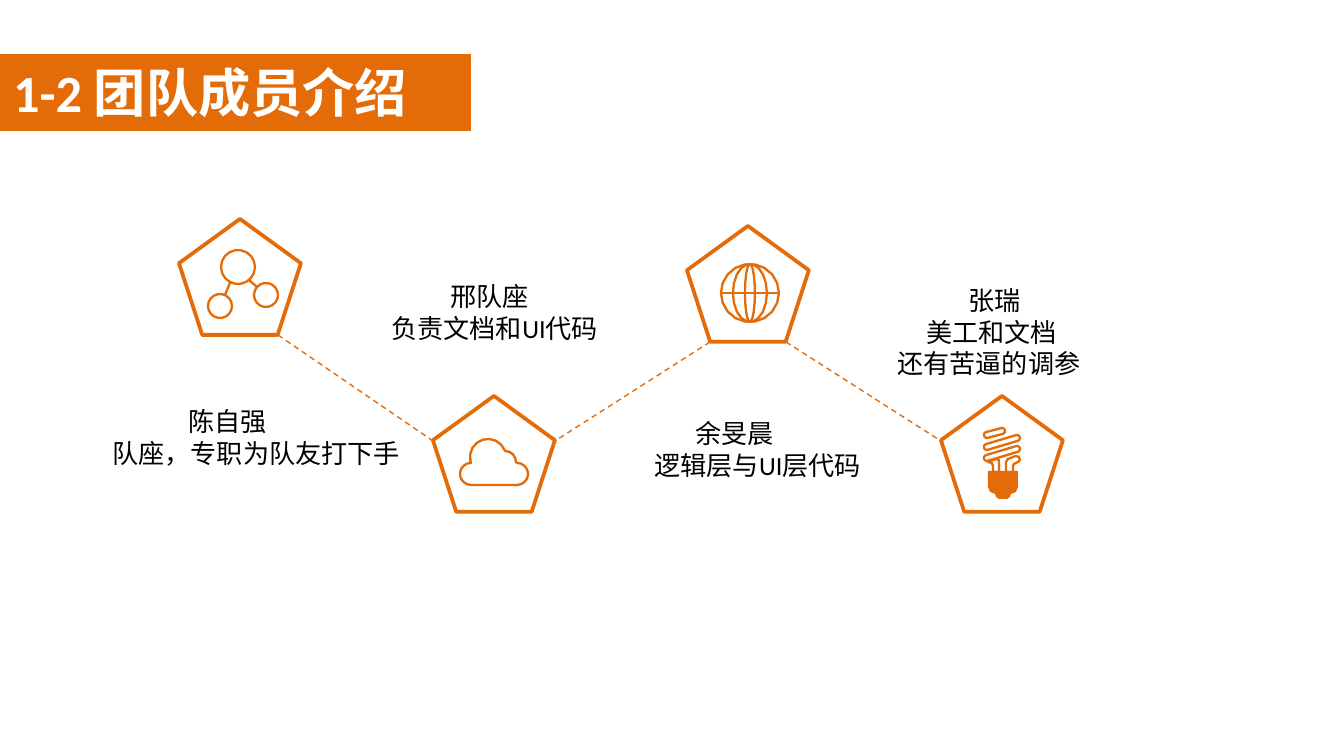
from dataclasses import dataclass, field
from math import atan2, cos, degrees, radians, sin

from lxml import etree
from pptx import Presentation
from pptx.dml.color import RGBColor
from pptx.enum.dml import MSO_LINE
from pptx.enum.shapes import MSO_CONNECTOR, MSO_SHAPE
from pptx.enum.text import MSO_AUTO_SIZE
from pptx.oxml.ns import qn
from pptx.util import Emu, Pt

PENTAGON, RECT = MSO_SHAPE.REGULAR_PENTAGON, MSO_SHAPE.RECTANGLE
STRAIGHT, DASH = MSO_CONNECTOR.STRAIGHT, MSO_LINE.DASH
FIT_TEXT = MSO_AUTO_SIZE.SHAPE_TO_FIT_TEXT

ORANGE = RGBColor(0xE3, 0x6C, 0x09)
WHITE = RGBColor(0xFF, 0xFF, 0xFF)
BLACK = RGBColor(0x00, 0x00, 0x00)
FONT = "Calibri"

PX_PER_INCH = 134.4
PENTAGON_W, PENTAGON_H = 122, 116
FIRST_LEFT, STEP = 179, 254
SHOULDER, BASE_INSET = 45, 23  # pentagon corners, from its top and sides

Contour = list[tuple[float, float]]


@dataclass
class Line:
    text: str
    indent: int = 0


@dataclass
class Member:
    pentagon_top: int
    outline: list[Contour]
    box: tuple[int, int, int, int]
    lines: list[Line]
    solid: list[Contour] = field(default_factory=list)


def px(n: float) -> Emu:
    return Emu(round(n * 914400 / PX_PER_INCH))


# Icon outlines
def arc(cx: int, cy: int, rx: int, ry: int, start: float = 0, end: float = 360) -> Contour:
    n = max(4, round((end - start) / 20))
    angles = [radians(start + (end - start) * i / n) for i in range(n + 1)]
    return [(cx + rx * cos(a), cy + ry * sin(a)) for a in angles]


def capsule(x1: int, y1: int, x2: int, y2: int, r: int) -> Contour:
    a = degrees(atan2(y2 - y1, x2 - x1))
    return arc(x1, y1, r, r, a + 90, a + 270) + arc(x2, y2, r, r, a - 90, a + 90)


NETWORK = [arc(cx, cy, r, r) for cx, cy, r in ((238, 267, 17), (220, 306, 12), (266, 295, 12))]
NETWORK += [[(230, 283), (225, 295)], [(249, 280), (257, 287)]]

GLOBE = [arc(750, 293, rx, 29) for rx in (29, 17, 5)] + [[(721, 293), (779, 293)]]

CLOUD_PUFFS = ((471, 474, 11, 90, 270), (488, 457, 18, 168, 338),
               (505, 462, 11, 270, 360), (517, 474, 11, 270, 450))
CLOUD = [[pt for cx, cy, r, start, end in CLOUD_PUFFS for pt in arc(cx, cy, r, r, start, end)]]

BULB = [capsule(*tube, 3) for tube in
        ((987, 435, 1002, 431), (987, 447, 1017, 438), (987, 458, 1017, 449))]
BULB += [
    [(988, 462), (992, 463), (993, 466), (993, 472), (999, 472), (999, 460), (996, 459)],
    [(1006, 472), (1006, 462), (1008, 459), (1016, 456), (1019, 457), (1020, 460),
     (1018, 462), (1014, 464), (1013, 466), (1013, 472)],
]
BULB_BASE = [[(988, 471), (1018, 471), (1018, 487), (1016, 492), (1011, 494), (1010, 497),
              (1007, 499), (999, 499), (996, 497), (995, 494), (990, 492), (988, 487)]]


# Drawing functions
def add_icon(slide, contours: list[Contour], solid: bool = False) -> None:
    scaled = [[(px(x), px(y)) for x, y in c] for c in contours]
    fb = slide.shapes.build_freeform(*scaled[0][0], scale=1.0)
    for i, c in enumerate(scaled):
        if i:
            fb.move_to(*c[0])
        fb.add_line_segments(c[1:], close=True)
    sp = fb.convert_to_shape()
    sp.shadow.inherit = False
    if solid:
        sp.fill.solid()
        sp.fill.fore_color.rgb = ORANGE
        sp.line.fill.background()
    else:
        sp.fill.background()
        sp.line.color.rgb = ORANGE
        sp.line.width = Pt(1.25)


def add_pentagon(slide, left: int, top: int) -> None:
    sp = slide.shapes.add_shape(PENTAGON, px(left), px(top), px(PENTAGON_W), px(PENTAGON_H))
    sp.shadow.inherit = False
    sp.fill.background()
    sp.line.color.rgb = ORANGE
    sp.line.width = Pt(2)


def add_dashed_line(slide, x1: int, y1: int, x2: int, y2: int) -> None:
    line = slide.shapes.add_connector(STRAIGHT, px(x1), px(y1), px(x2), px(y2))
    line.line.color.rgb = ORANGE
    line.line.width = Pt(0.75)
    line.line.dash_style = DASH
    etree.SubElement(line._element.spPr, qn("a:effectLst"))


def add_text(slide, box: tuple[int, int, int, int], lines: list[Line], size: int,
             color: RGBColor, bold: bool = False) -> None:
    tf = slide.shapes.add_textbox(*map(px, box)).text_frame
    tf.word_wrap = True
    tf.auto_size = FIT_TEXT
    for i, line in enumerate(lines):
        p = tf.add_paragraph() if i else tf.paragraphs[0]
        if line.indent:
            p._p.get_or_add_pPr().set("marL", str(px(line.indent)))
        r = p.add_run()
        r.text = line.text
        r.font.name = FONT
        r.font.size = Pt(size)
        r.font.bold = bold
        r.font.color.rgb = color


MEMBERS = [
    Member(219, NETWORK, (87, 399, 332, 77),
           [Line("陈自强", 88), Line("队座，专职为队友打下手", 12)]),
    Member(396, CLOUD, (367, 274, 286, 77),
           [Line("邢队座", 70), Line("负责文档和UI代码", 11)]),
    Member(226, GLOBE, (606, 411, 286, 77),
           [Line("余旻晨", 76), Line("逻辑层与UI层代码", 35)]),
    Member(396, BULB, (844, 278, 286, 109),
           [Line("张瑞", 111), Line("美工和文档", 69), Line("还有苦逼的调参", 40)], BULB_BASE),
]


def main() -> None:
    prs = Presentation()
    prs.slide_width, prs.slide_height = px(1344), px(756)
    slide = prs.slides.add_slide(prs.slide_layouts[6])

    # Title banner
    banner = (0, 54, 471, 77)
    sp = slide.shapes.add_shape(RECT, *map(px, banner))
    sp.shadow.inherit = False
    sp.fill.solid()
    sp.fill.fore_color.rgb = ORANGE
    sp.line.fill.background()
    add_text(slide, banner, [Line("1-2 团队成员介绍")], 28, WHITE, bold=True)

    # Team members
    for i, member in enumerate(MEMBERS):
        add_pentagon(slide, FIRST_LEFT + i * STEP, member.pentagon_top)
        add_icon(slide, member.outline)
        if member.solid:
            add_icon(slide, member.solid, solid=True)
        add_text(slide, member.box, member.lines, 14, BLACK)

    # Dashed links from each upper base corner to the lower shoulder
    for i, (a, b) in enumerate(zip(MEMBERS, MEMBERS[1:])):
        left, right = FIRST_LEFT + i * STEP, FIRST_LEFT + (i + 1) * STEP
        if a.pentagon_top < b.pentagon_top:
            add_dashed_line(slide, left + PENTAGON_W - BASE_INSET, a.pentagon_top + PENTAGON_H,
                            right, b.pentagon_top + SHOULDER)
        else:
            add_dashed_line(slide, right + BASE_INSET, b.pentagon_top + PENTAGON_H,
                            left + PENTAGON_W, a.pentagon_top + SHOULDER)

    prs.save("out.pptx")


if __name__ == "__main__":
    main()
